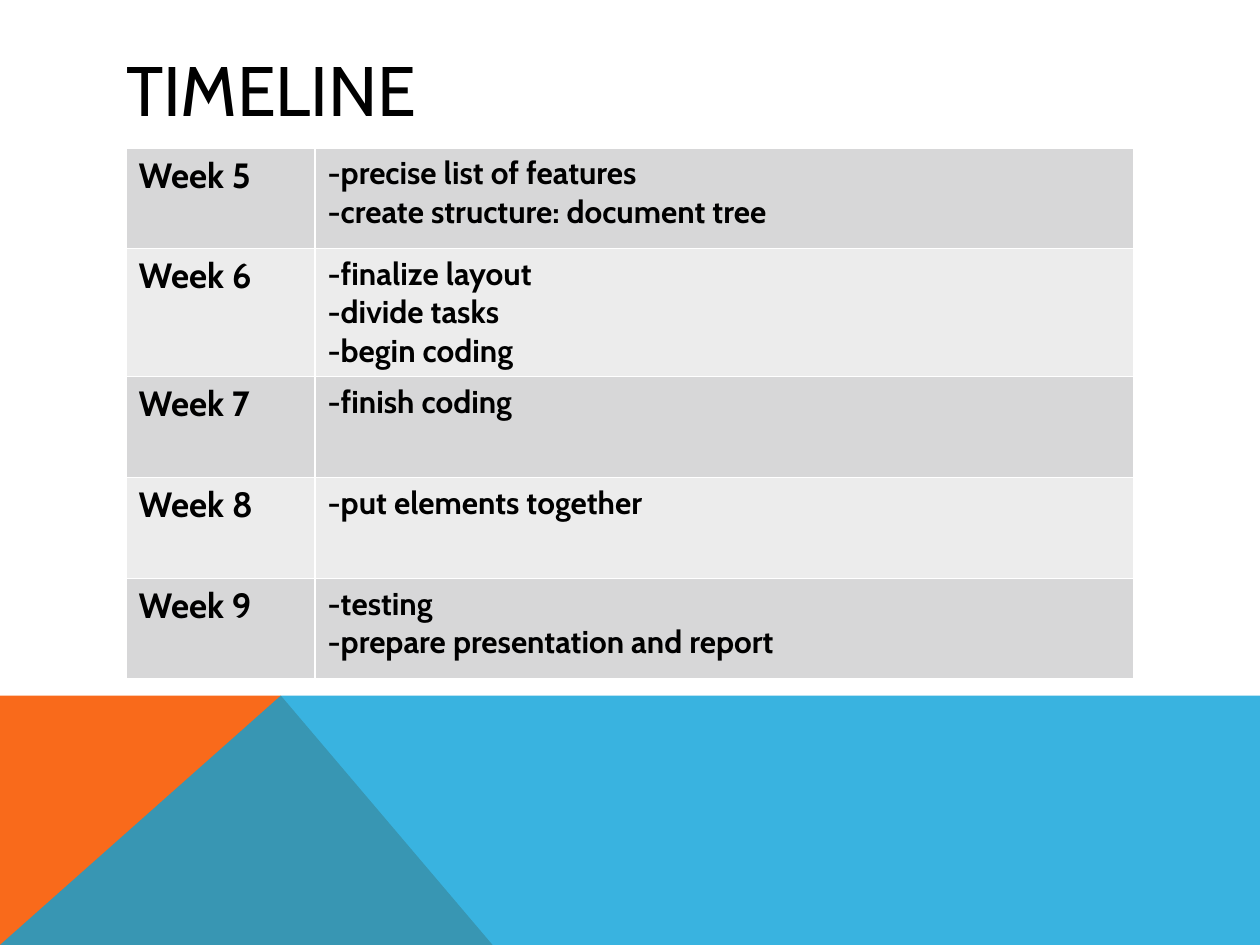
from dataclasses import dataclass

from lxml.etree import SubElement
from pptx import Presentation
from pptx.dml.color import RGBColor
from pptx.enum.text import MSO_ANCHOR, MSO_AUTO_SIZE, PP_ALIGN
from pptx.oxml.ns import qn
from pptx.slide import Slide
from pptx.table import _Cell as Cell
from pptx.text.text import TextFrame
from pptx.util import Pt

BLACK = RGBColor(0x00, 0x00, 0x00)
WHITE = RGBColor(0xFF, 0xFF, 0xFF)
ORANGE = RGBColor(0xF9, 0x6A, 0x1B)
BLUE = RGBColor(0x08, 0xA1, 0xD9)
ROW_FILLS = (RGBColor(0xD7, 0xD7, 0xD8), RGBColor(0xEC, 0xEC, 0xEC))

FONT = "Cabin"
SLIDE_WIDTH, SLIDE_HEIGHT = 720, 540
PANEL_TOP = 397.5
PEAK_X = 160.5
COLUMN_WIDTHS = (108, 468)
ROW_HEIGHT = 57.6


@dataclass(frozen=True)
class Panel:
    points: tuple[tuple[float, float], ...]
    color: RGBColor
    opacity: int = 100


@dataclass(frozen=True)
class Week:
    label: str
    tasks: tuple[str, ...]


PANELS = (
    Panel(((0, SLIDE_HEIGHT), (0, PANEL_TOP), (PEAK_X, PANEL_TOP),
           (281.5, SLIDE_HEIGHT)), ORANGE),
    Panel(((0, SLIDE_HEIGHT), (PEAK_X, PANEL_TOP), (SLIDE_WIDTH, PANEL_TOP),
           (SLIDE_WIDTH, SLIDE_HEIGHT)), BLUE, opacity=80),
)

WEEKS = (
    Week("Week 5", ("-precise list of features", "-create structure: document tree")),
    Week("Week 6", ("-finalize layout", "-divide tasks", "-begin coding")),
    Week("Week 7", ("-finish coding",)),
    Week("Week 8", ("-put elements together",)),
    Week("Week 9", ("-testing", "-prepare presentation and report")),
)


def format_text(text_frame: TextFrame, size: float, bold: bool) -> None:
    for paragraph in text_frame.paragraphs:
        paragraph.alignment = PP_ALIGN.LEFT
        for run in paragraph.runs:
            run.font.name = FONT
            run.font.size = Pt(size)
            run.font.bold = bold
            run.font.color.rgb = BLACK


def add_panel(slide: Slide, panel: Panel) -> None:
    points = [(Pt(x), Pt(y)) for x, y in panel.points]
    builder = slide.shapes.build_freeform(*points[0])
    builder.add_line_segments(points[1:], close=True)
    shape = builder.convert_to_shape()
    shape.shadow.inherit = False
    shape.line.fill.background()
    shape.fill.solid()
    shape.fill.fore_color.rgb = panel.color
    if panel.opacity < 100:
        color = shape.element.spPr.find(f"{qn('a:solidFill')}/{qn('a:srgbClr')}")
        SubElement(color, qn("a:alpha"), val=str(panel.opacity * 1000))


def add_title(slide: Slide, text: str) -> None:
    title = slide.shapes.title
    title.left, title.top = Pt(64.8), Pt(28.8)
    title.width, title.height = Pt(592), Pt(43.2)
    text_frame = title.text_frame
    text_frame.text = text
    text_frame.auto_size = MSO_AUTO_SIZE.NONE
    text_frame.vertical_anchor = MSO_ANCHOR.MIDDLE
    format_text(text_frame, 40, bold=False)


def add_borders(cell: Cell) -> None:
    """Outline the cell in white; must run before the cell is filled."""
    properties = cell._tc.get_or_add_tcPr()
    for side in ("lnL", "lnR", "lnT", "lnB"):
        line = SubElement(properties, qn(f"a:{side}"), w=str(Pt(1)))
        fill = SubElement(line, qn("a:solidFill"))
        SubElement(fill, qn("a:srgbClr"), val=str(WHITE))


def fill_cell(cell: Cell, text: str, size: float, color: RGBColor) -> None:
    cell.text_frame.text = text
    format_text(cell.text_frame, size, bold=True)
    add_borders(cell)
    cell.fill.solid()
    cell.fill.fore_color.rgb = color


def add_timeline(slide: Slide, weeks: tuple[Week, ...]) -> None:
    table = slide.shapes.add_table(
        len(weeks), len(COLUMN_WIDTHS), Pt(72), Pt(84.5),
        Pt(sum(COLUMN_WIDTHS)), Pt(ROW_HEIGHT * len(weeks)),
    ).table
    table.first_row = False
    for column, width in zip(table.columns, COLUMN_WIDTHS):
        column.width = Pt(width)
    for index, week in enumerate(weeks):
        table.rows[index].height = Pt(ROW_HEIGHT)
        color = ROW_FILLS[index % len(ROW_FILLS)]
        fill_cell(table.cell(index, 0), week.label, 20, color)
        fill_cell(table.cell(index, 1), "\n".join(week.tasks), 18, color)


def main() -> None:
    presentation = Presentation()
    presentation.slide_width = Pt(SLIDE_WIDTH)
    presentation.slide_height = Pt(SLIDE_HEIGHT)
    slide = presentation.slides.add_slide(presentation.slide_layouts[5])
    for panel in PANELS:
        add_panel(slide, panel)
    add_title(slide, "TIMELINE")
    add_timeline(slide, WEEKS)
    presentation.save("out.pptx")


if __name__ == "__main__":
    main()
